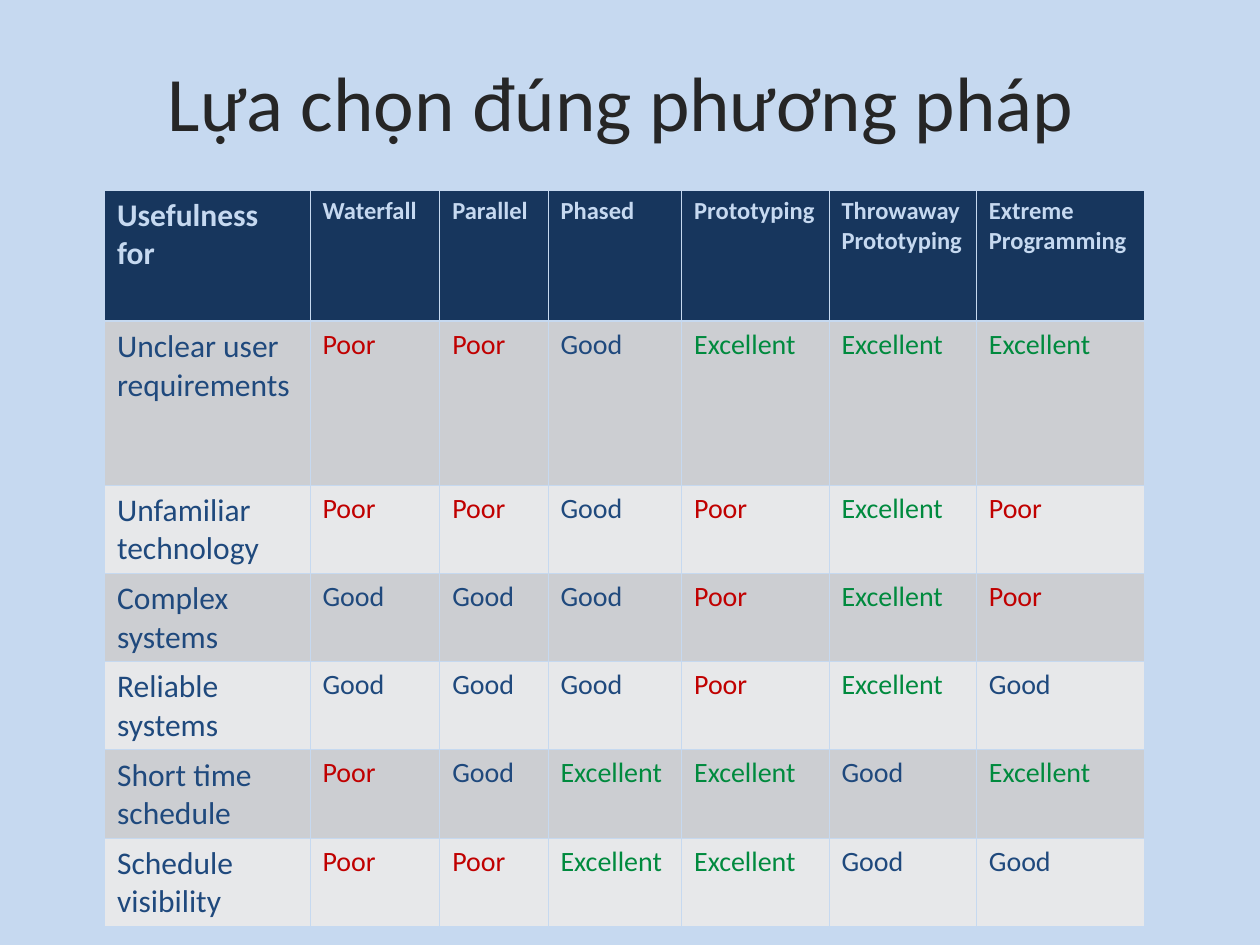
"""Build a slide comparing development methodologies by usefulness."""
import pptx
import pptx.dml.color
import pptx.enum.text
import pptx.oxml
import pptx.oxml.ns
import pptx.util
from pptx.util import Inches

PALE, NAVY, BLUE = "C6D9F0", "17365D", "1F497D"
RATING_COLORS = {"Poor": "C00000", "Good": BLUE, "Excellent": "008A3E"}
BANDS = ["E7E8EA", "CCCED2"]
COLUMN_WIDTHS = [1.63, 1.03, 0.86, 1.06, 1.17, 1.17, 1.33]
ROW_HEIGHTS = [1.04, 1.3] + [0.7] * 5
ROWS = [
    ["Usefulness for", "Waterfall", "Parallel", "Phased", "Prototyping",
     "Throwaway Prototyping", "Extreme Programming"],
    ["Unclear user requirements", "Poor", "Poor", "Good", "Excellent", "Excellent", "Excellent"],
    ["Unfamiliar technology", "Poor", "Poor", "Good", "Poor", "Excellent", "Poor"],
    ["Complex systems", "Good", "Good", "Good", "Poor", "Excellent", "Poor"],
    ["Reliable systems", "Good", "Good", "Good", "Poor", "Excellent", "Good"],
    ["Short time schedule", "Poor", "Good", "Excellent", "Excellent", "Good", "Excellent"],
    ["Schedule visibility", "Poor", "Poor", "Excellent", "Excellent", "Good", "Good"],
]


def color(hex_value):
    return pptx.dml.color.RGBColor.from_string(hex_value)


def style_text(para, size, hex_value, bold=False):
    for span in para.runs:
        span.font.name = "Calibri"
        span.font.size = pptx.util.Pt(size)
        span.font.bold = bold
        span.font.color.rgb = color(hex_value)


deck = pptx.Presentation()
deck.slide_width, deck.slide_height = Inches(10), Inches(7.5)
page = deck.slides.add_slide(deck.slide_layouts[6])
page.background.fill.solid()
page.background.fill.fore_color.rgb = color(PALE)

title_box = page.shapes.add_textbox(Inches(0.5), Inches(0.3), Inches(9), Inches(1))
title = title_box.text_frame
title.word_wrap = True
title.vertical_anchor = pptx.enum.text.MSO_ANCHOR.MIDDLE
title.text = "Lựa chọn đúng phương pháp "
title.paragraphs[0].alignment = pptx.enum.text.PP_ALIGN.CENTER
style_text(title.paragraphs[0], 44, "262626")

table = page.shapes.add_table(
    len(ROWS), len(COLUMN_WIDTHS), Inches(0.83), Inches(1.51), Inches(8.25), Inches(5.85)
).table
table.horz_banding = False
for column, width in zip(table.columns, COLUMN_WIDTHS):
    column.width = Inches(width)
for row, height in zip(table.rows, ROW_HEIGHTS):
    row.height = Inches(height)

for row_index, labels in enumerate(ROWS):
    header = row_index == 0
    for column_index, label in enumerate(labels):
        cell = table.cell(row_index, column_index)
        properties = cell._tc.get_or_add_tcPr()
        for side in "LRTB":
            heavy = (row_index, side) in [(0, "B"), (1, "T")]
            width = pptx.util.Pt(1.47 if heavy else 0.45)
            properties.append(pptx.oxml.parse_xml(
                f'<a:ln{side} {pptx.oxml.ns.nsdecls("a")} w="{width}"><a:solidFill>'
                f'<a:srgbClr val="{PALE}"/></a:solidFill></a:ln{side}>'))
        cell.fill.solid()
        cell.fill.fore_color.rgb = color(NAVY if header else BANDS[row_index % 2])
        cell.text_frame.text = label
        size = 18 if column_index == 0 else 14 if header else 16
        text_color = PALE if header else RATING_COLORS.get(label, BLUE)
        style_text(cell.text_frame.paragraphs[0], size, text_color, header)

deck.save("out.pptx")
